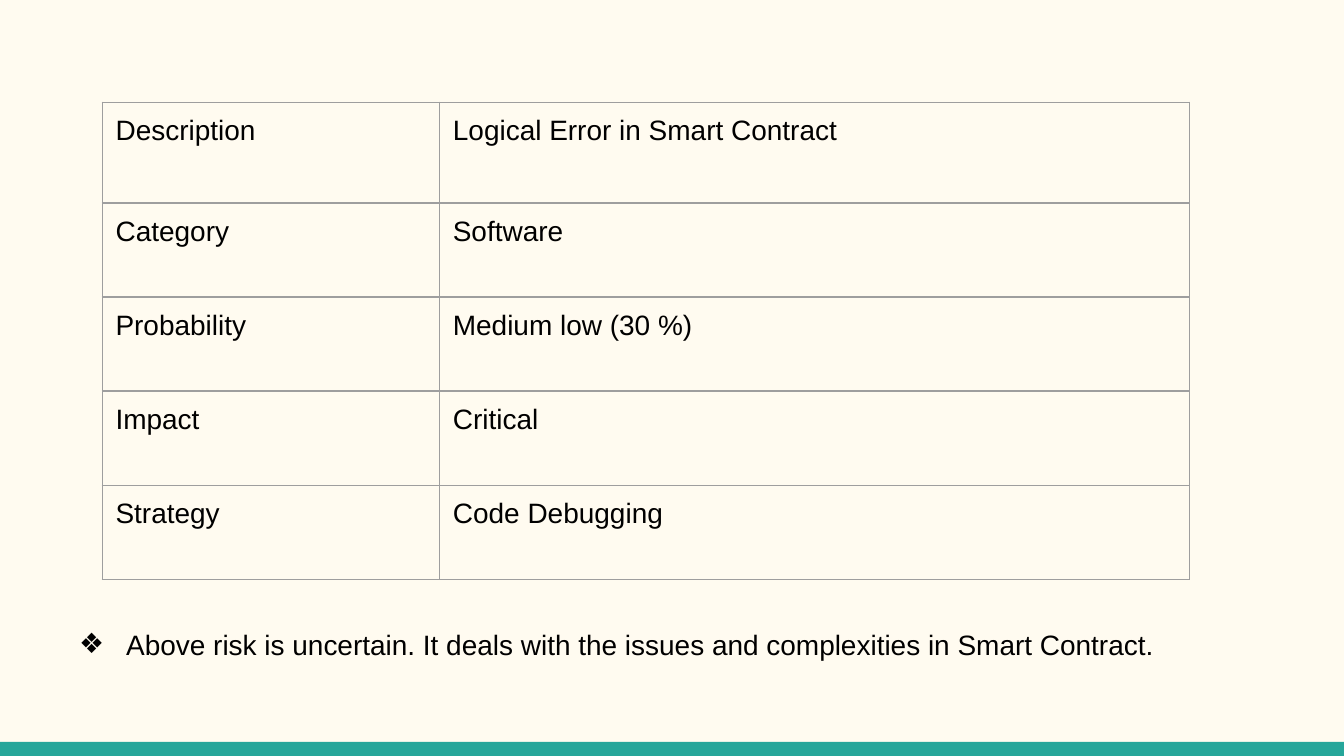
from lxml import etree
from pptx import Presentation
from pptx.dml.color import RGBColor
from pptx.enum.shapes import MSO_SHAPE
from pptx.enum.text import MSO_ANCHOR
from pptx.oxml.ns import qn
from pptx.util import Inches, Pt

RECTANGLE = MSO_SHAPE.RECTANGLE
TOP = MSO_ANCHOR.TOP
BLANK_LAYOUT = 6

COLORS = {"cream": "FFFBF0", "teal": "26A69A", "grid": "9E9E9E", "text": "000000"}

RISK = [
    ("Description", "Logical Error in Smart Contract"),
    ("Category", "Software"),
    ("Probability", "Medium low (30 %)"),
    ("Impact", "Critical"),
    ("Strategy", "Code Debugging"),
]
COLUMN_WIDTHS = [2.51, 5.58]
ROW_HEIGHTS = [0.75] + [0.7] * 4


def rgb(name):
    return RGBColor.from_string(COLORS[name])


class RiskSlide:
    font = "Arial"
    size = Pt(15)
    inset = Inches(0.1)

    def __init__(self, slide):
        self.slide = slide
        background = slide.background.fill
        background.solid()
        background.fore_color.rgb = rgb("cream")

    def style_text(self, holder, text):
        """Fill a cell or text frame with one paragraph in the slide's style."""
        holder.margin_left = holder.margin_right = self.inset
        holder.margin_top = holder.margin_bottom = self.inset
        holder.vertical_anchor = TOP
        frame = getattr(holder, "text_frame", holder)
        frame.word_wrap = True
        frame.text = text
        paragraph = frame.paragraphs[0]
        paragraph.font.name = self.font
        paragraph.font.size = self.size
        paragraph.font.color.rgb = rgb("text")
        return paragraph

    def bar(self, left, top, width, height, color):
        bar = self.slide.shapes.add_shape(
            RECTANGLE, Inches(left), Inches(top), Inches(width), Inches(height))
        bar.shadow.inherit = False
        bar.fill.solid()
        bar.fill.fore_color.rgb = rgb(color)
        bar.line.fill.background()

    def border(self, cell):
        properties = cell._tc.get_or_add_tcPr()
        for side in ("a:lnL", "a:lnR", "a:lnT", "a:lnB"):
            line = etree.SubElement(properties, qn(side), w=str(Pt(0.75)))
            fill = etree.SubElement(line, qn("a:solidFill"))
            etree.SubElement(fill, qn("a:srgbClr"), val=COLORS["grid"])

    def table(self, left, top, widths, heights, rows):
        table = self.slide.shapes.add_table(
            len(rows), len(widths), Inches(left), Inches(top),
            Inches(sum(widths)), Inches(sum(heights))).table
        table.first_row = table.horz_banding = False
        for column, width in zip(table.columns, widths):
            column.width = Inches(width)
        for row, height, texts in zip(table.rows, heights, rows):
            row.height = Inches(height)
            for cell, text in zip(row.cells, texts):
                self.style_text(cell, text)
                self.border(cell)
                cell.fill.background()

    def bullet(self, left, top, width, height, text, mark):
        box = self.slide.shapes.add_textbox(
            Inches(left), Inches(top), Inches(width), Inches(height))
        paragraph = self.style_text(box.text_frame, text)
        properties = paragraph._p.get_or_add_pPr()
        properties.set("marL", str(Inches(0.5)))
        properties.set("indent", str(Inches(-0.35)))
        color = etree.Element(qn("a:buClr"))
        etree.SubElement(color, qn("a:srgbClr"), val=COLORS["text"])
        size = etree.Element(qn("a:buSzPts"), val=str(int(self.size.pt * 100)))
        typeface = etree.Element(qn("a:buFont"), typeface=self.font)
        symbol = etree.Element(qn("a:buChar"), char=mark)
        # Bullet settings come before the paragraph's font defaults
        for position, setting in enumerate((color, size, typeface, symbol)):
            properties.insert(position, setting)


def main():
    deck = Presentation()
    # Widescreen, 16:9
    deck.slide_width = Inches(10)
    deck.slide_height = deck.slide_width * 9 // 16
    risk = RiskSlide(deck.slides.add_slide(deck.slide_layouts[BLANK_LAYOUT]))

    # Bottom band
    risk.bar(0, 5.52, 10, 0.11, "teal")

    # Risk details
    risk.table(0.76, 0.76, COLUMN_WIDTHS, ROW_HEIGHTS, RISK)

    # Closing remark
    risk.bullet(0.34, 4.57, 8.51, 0.62,
                "Above risk is uncertain. It deals with the issues and "
                "complexities in Smart Contract.", "❖")

    deck.save("out.pptx")


if __name__ == "__main__":
    main()
